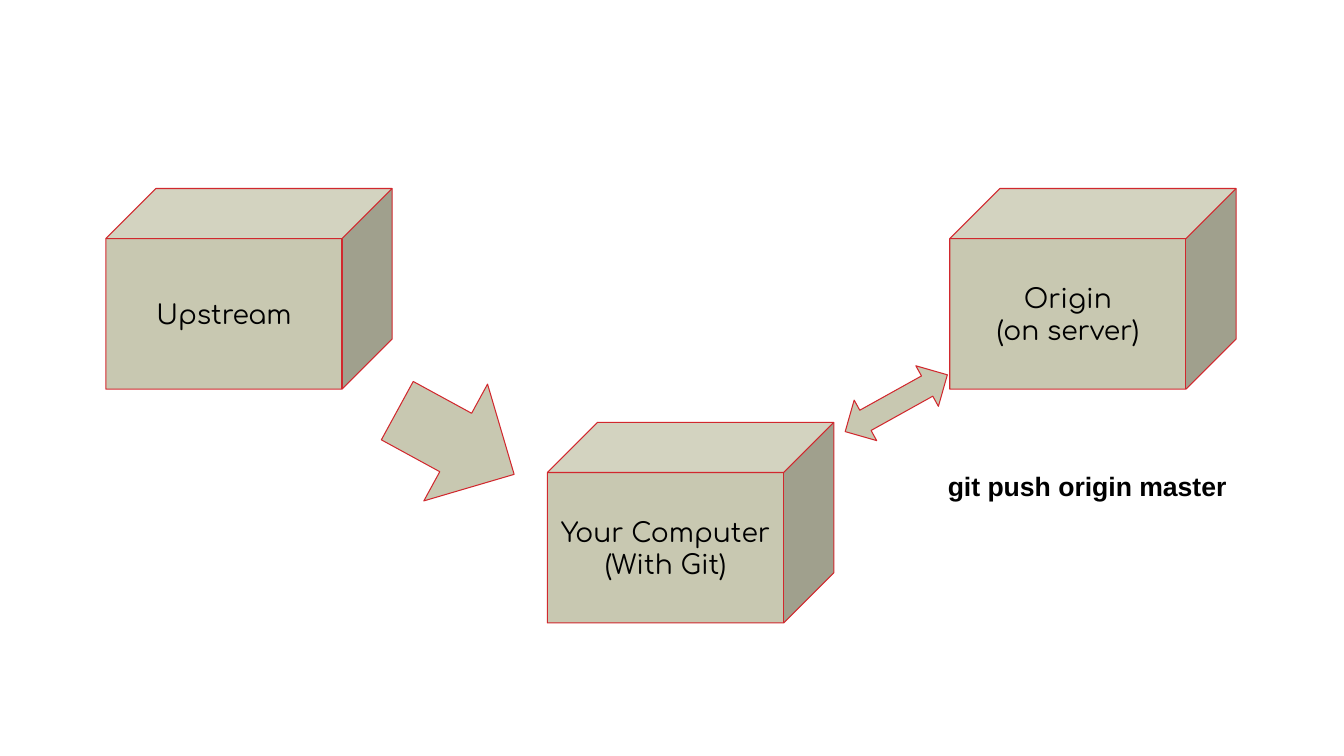
from dataclasses import dataclass

from pptx import Presentation
from pptx.dml.color import RGBColor
from pptx.enum import shapes, text
from pptx.util import Inches, Pt

FILL, OUTLINE, INK = "C8C8B1", "D1282E", "000000"
CUBE_WIDTH, CUBE_HEIGHT = 2.84, 1.99
INSET = 0.13
KIND = shapes.MSO_SHAPE


@dataclass
class Node:
    left: float
    top: float
    lines: list[str]


@dataclass
class Arrow:
    kind: shapes.MSO_SHAPE
    left: float
    top: float
    width: float
    height: float
    rotation: float


NODES = [
    Node(1.05, 1.87, ["Upstream"]),
    Node(5.43, 4.19, ["Your Computer", "(With Git)"]),
    Node(9.42, 1.87, ["Origin", "(on server)"]),
]
ARROWS = [
    Arrow(KIND.RIGHT_ARROW, 3.86, 3.73, 1.32, 1.32, 28.6),
    Arrow(KIND.LEFT_RIGHT_ARROW, 8.31, 3.77, 1.16, 0.46, 330.9),
]


def color(value: str) -> RGBColor:
    return RGBColor.from_string(value)


def add_outlined(s, kind, left: float, top: float, width: float, height: float):
    sp = s.shapes.add_shape(
        kind, Inches(left), Inches(top), Inches(width), Inches(height)
    )
    sp.shadow.inherit = False
    sp.fill.solid()
    sp.fill.fore_color.rgb = color(FILL)
    sp.line.color.rgb = color(OUTLINE)
    sp.line.width = Pt(0.75)
    return sp


def write(tf, lines: list[str], font: str, align, anchor, bold: bool = False) -> None:
    tf.word_wrap = True
    tf.vertical_anchor = anchor
    tf.margin_left = tf.margin_right = Inches(INSET)
    tf.margin_top = tf.margin_bottom = Inches(INSET)
    for i, line in enumerate(lines):
        p = tf.add_paragraph() if i else tf.paragraphs[0]
        p.alignment = align
        r = p.add_run()
        r.text = line
        r.font.name = font
        r.font.size = Pt(19)
        r.font.bold = bold
        r.font.color.rgb = color(INK)


def add_node(s, node: Node) -> None:
    sp = add_outlined(s, KIND.CUBE, node.left, node.top, CUBE_WIDTH, CUBE_HEIGHT)
    sp.adjustments[0] = 0.25
    write(
        sp.text_frame, node.lines, "Comfortaa",
        text.PP_ALIGN.CENTER, text.MSO_ANCHOR.MIDDLE,
    )


def add_arrow(s, arrow: Arrow) -> None:
    sp = add_outlined(
        s, arrow.kind, arrow.left, arrow.top, arrow.width, arrow.height
    )
    sp.rotation = arrow.rotation


def add_command(s, command: str) -> None:
    sp = s.shapes.add_textbox(Inches(9.27), Inches(4.53), Inches(3.78), Inches(0.49))
    write(
        sp.text_frame, [command], "Arial",
        text.PP_ALIGN.LEFT, text.MSO_ANCHOR.TOP, bold=True,
    )


def main() -> None:
    prs = Presentation()
    prs.slide_width, prs.slide_height = Inches(13.33), Inches(7.5)
    s = prs.slides.add_slide(prs.slide_layouts[6])
    for node in NODES:
        add_node(s, node)
    for arrow in ARROWS:
        add_arrow(s, arrow)
    add_command(s, "git push origin master")
    prs.save("out.pptx")


if __name__ == "__main__":
    main()
